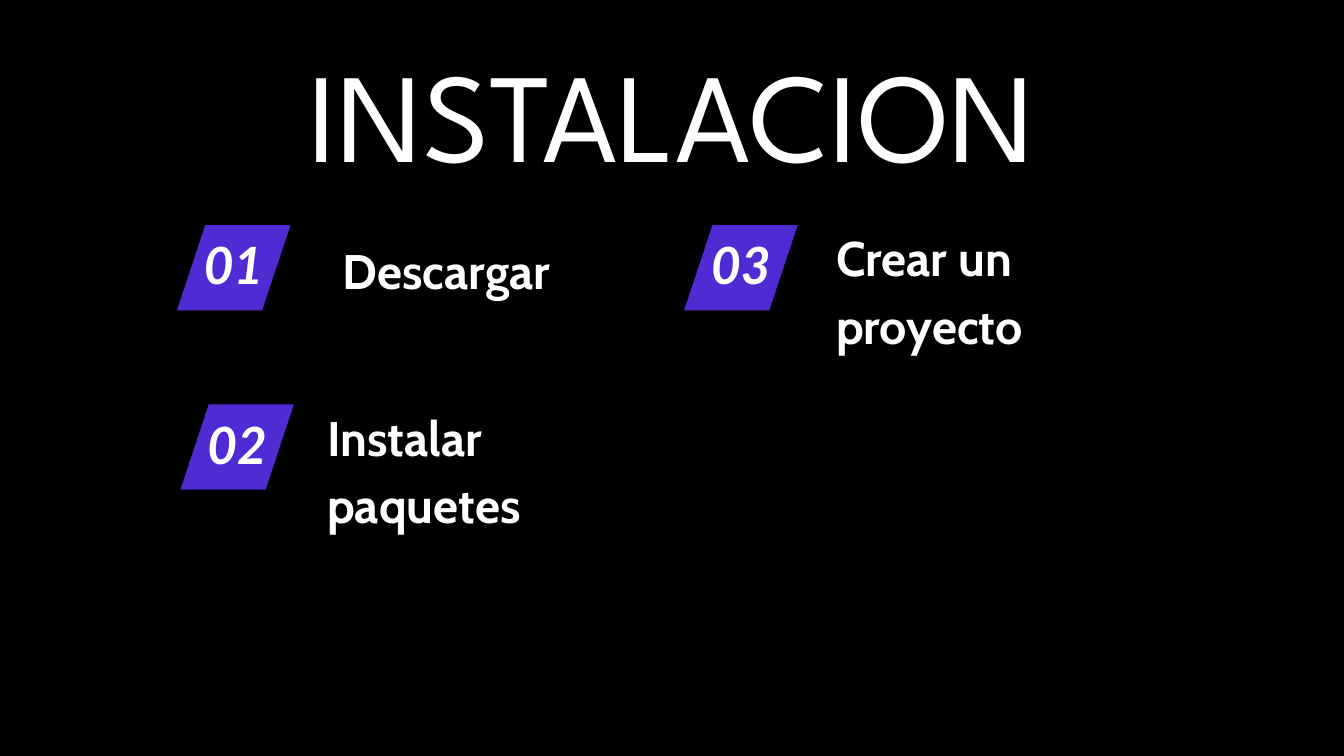
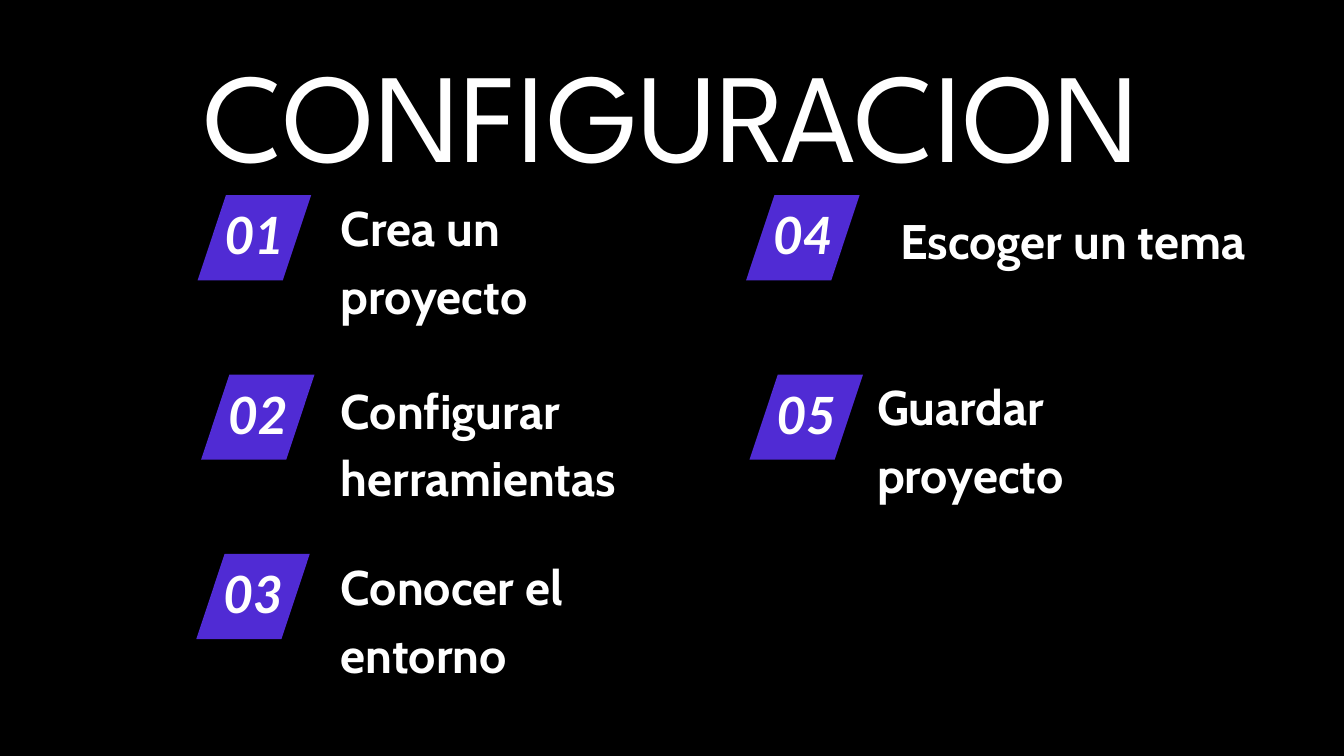
from pptx import Presentation
from pptx.dml.color import RGBColor
from pptx.enum.text import MSO_ANCHOR, MSO_AUTO_SIZE, PP_ALIGN
from pptx.util import Cm, Pt

CENTER, LEFT = PP_ALIGN.CENTER, PP_ALIGN.LEFT
TOP, MIDDLE = MSO_ANCHOR.TOP, MSO_ANCHOR.MIDDLE
GROW = MSO_AUTO_SIZE.SHAPE_TO_FIT_TEXT

# Lengths in centimetres
SLIDE_WIDTH, SLIDE_HEIGHT = 50.8, 28.58
BADGE_WIDTH, BADGE_HEIGHT, BADGE_SLANT = 4.29, 3.22, 1.07
NUMBER_WIDTH, NUMBER_HEIGHT = 3.23, 4.06
ROW_STEP = 6.78
LABEL_WIDTH, LINE_HEIGHT = 12.52, 2.5


def color(value):
    return RGBColor.from_string(value)


class Deck:
    """Style of the presentation and the slide being built."""

    background, accent, text_color = "000000", "502BD4", "FFFFFF"
    # font, size, line spacing, bold, italic
    title_style = ("League Spartan", 136, 190.4, False, False)
    number_style = ("Lato", 55, 82.5, True, True)
    label_style = ("Cabin", 52, 72.8, True, False)

    def __init__(self):
        self.presentation = Presentation()
        self.presentation.slide_width = Cm(SLIDE_WIDTH)
        self.presentation.slide_height = Cm(SLIDE_HEIGHT)
        self.slide = None

    def add_slide(self):
        self.slide = self.presentation.slides.add_slide(self.presentation.slide_layouts[6])
        fill = self.slide.background.fill
        fill.solid()
        fill.fore_color.rgb = color(self.background)

    def add_text(self, shapes, text, box, style, alignment=CENTER, anchor=TOP, inset=0):
        font_name, size, spacing, bold, italic = style
        shape = shapes.add_textbox(*(Cm(length) for length in box))
        frame = shape.text_frame
        frame.word_wrap = True
        frame.vertical_anchor = anchor
        frame.margin_left = frame.margin_right = Cm(inset)
        frame.margin_top = frame.margin_bottom = Cm(inset)
        paragraph = frame.paragraphs[0]
        paragraph.alignment = alignment
        paragraph.line_spacing = Pt(spacing)
        run = paragraph.add_run()
        run.text = text
        font = run.font
        font.name, font.size = font_name, Pt(size)
        font.bold, font.italic = bold, italic
        font.color.rgb = color(self.text_color)
        return frame

    def add_title(self, text, width):
        box = ((SLIDE_WIDTH - width) / 2, 0.38, width, 6.45)
        self.add_text(self.slide.shapes, text, box, self.title_style).auto_size = GROW

    def add_badge(self, number, left, top):
        shapes = self.slide.shapes.add_group_shape().shapes
        right, bottom = left + BADGE_WIDTH, top + BADGE_HEIGHT
        builder = shapes.build_freeform(Cm(left + BADGE_SLANT), Cm(top))
        corners = [(right, top), (right - BADGE_SLANT, bottom), (left, bottom)]
        builder.add_line_segments([(Cm(x), Cm(y)) for x, y in corners])
        shape = builder.convert_to_shape()
        shape.shadow.inherit = False
        shape.fill.solid()
        shape.fill.fore_color.rgb = color(self.accent)
        shape.line.fill.background()
        # The number is centred on the badge and shares its bottom edge
        box = (left + (BADGE_WIDTH - NUMBER_WIDTH) / 2, bottom - NUMBER_HEIGHT,
               NUMBER_WIDTH, NUMBER_HEIGHT)
        self.add_text(shapes, f"{number:02d}", box, self.number_style,
                      anchor=MIDDLE, inset=0.15)

    def add_label(self, text, left, top, one_line_width=None):
        lines = 1 if one_line_width else 2
        box = (left, top, one_line_width or LABEL_WIDTH, lines * LINE_HEIGHT)
        alignment = CENTER if one_line_width else LEFT
        self.add_text(self.slide.shapes, text, box, self.label_style,
                      alignment).auto_size = GROW

    def add_steps(self, title, title_width, first_top, badges, labels):
        self.add_slide()
        self.add_title(title, title_width)
        for number, (left, row) in enumerate(badges, 1):
            self.add_badge(number, left, first_top + row * ROW_STEP)
        for label in labels:
            self.add_label(*label)


def main():
    deck = Deck()

    # Installation: badges are (left, row), labels (text, left, top, one-line width)
    deck.add_steps(
        "INSTALACION", 35.03, 8.51,
        [(6.69, 0), (6.82, 1), (25.86, 0)],
        [("Descargar", 12.37, 8.76, 9.02),
         ("Instalar paquetes", 12.37, 15.04),
         ("Crear un proyecto", 31.6, 8.26)])

    # Configuration
    deck.add_steps(
        "CONFIGURACION", 43.99, 7.38,
        [(7.47, 0), (7.6, 1), (7.42, 2), (28.2, 0), (28.33, 1)],
        [("Crea un proyecto", 12.88, 7.11),
         ("Configurar herramientas", 12.88, 14.02),
         ("Conocer el entorno", 12.88, 20.68),
         ("Escoger un tema", 33.15, 7.62, 14.81),
         ("Guardar proyecto", 33.15, 13.89)])

    deck.presentation.save("out.pptx")


if __name__ == "__main__":
    main()
